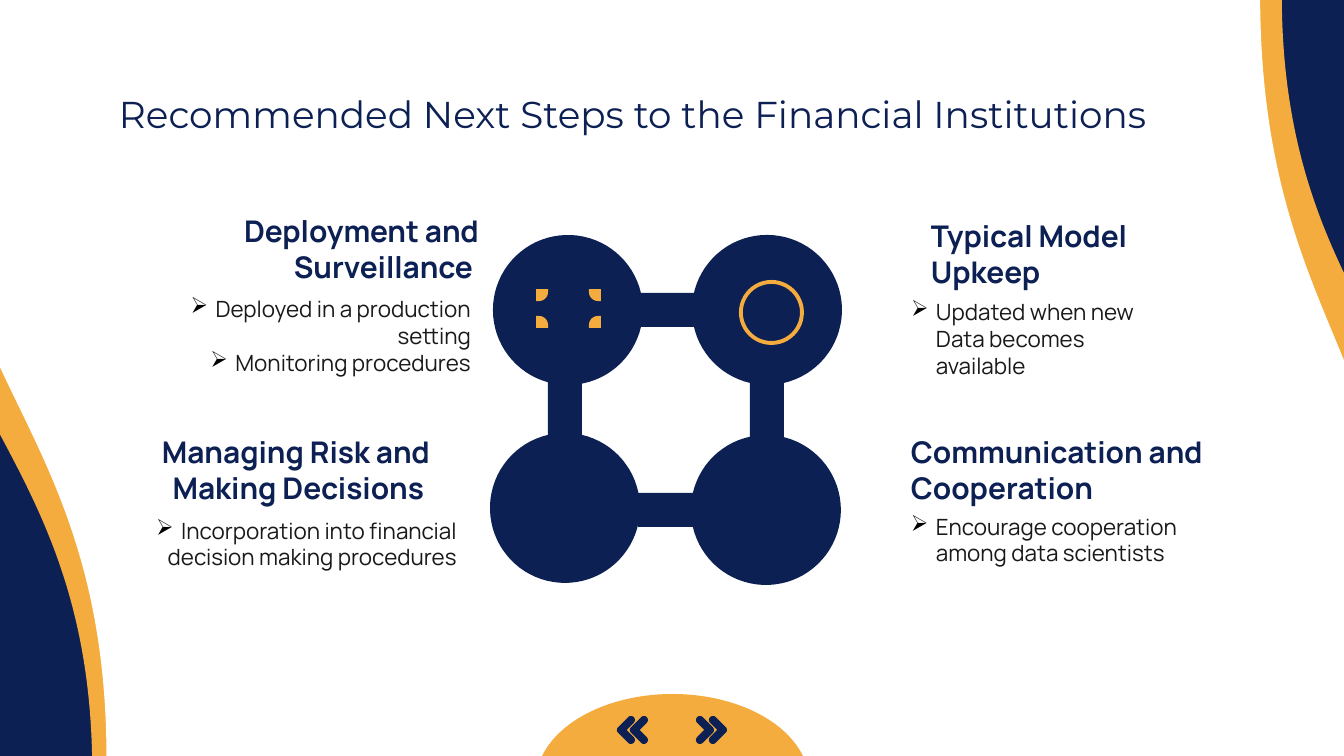
"""Build the slide of recommended next steps for financial institutions."""
from dataclasses import dataclass
from math import asin, cos, degrees, radians, sin, sqrt

from lxml import etree
from pptx import Presentation
from pptx.dml.color import RGBColor
from pptx.enum.shapes import MSO_SHAPE
from pptx.enum.text import MSO_ANCHOR, PP_ALIGN
from pptx.oxml.ns import qn
from pptx.shapes.autoshape import Shape
from pptx.slide import Slide
from pptx.util import Emu, Pt

EMU_PER_PX = 914400 / 134.4
NAVY = RGBColor(0x0C, 0x20, 0x54)
ORANGE = RGBColor(0xF3, 0xAC, 0x3D)
WHITE = RGBColor(0xFF, 0xFF, 0xFF)
INK = RGBColor(0x19, 0x19, 0x19)
BULLET_COLOR = "000000"
WAVE = MSO_SHAPE.FLOWCHART_DOCUMENT
RING = MSO_SHAPE.DONUT
PIE = MSO_SHAPE.PIE
LEFT, RIGHT = PP_ALIGN.LEFT, PP_ALIGN.RIGHT
MIDDLE = MSO_ANCHOR.MIDDLE
INSET = 13
BULLET_INDENT = 25

Point = tuple[float, float]
Box = tuple[int, int, int, int]


@dataclass(frozen=True)
class Preset:
    kind: int
    box: Box
    fill: RGBColor
    rotation: int = 0
    adjustments: tuple[float, ...] = ()


@dataclass(frozen=True)
class TextStyle:
    font: str
    size: int
    color: RGBColor
    bold: bool = False
    bulleted: bool = False


@dataclass(frozen=True)
class Label:
    box: Box
    style: TextStyle
    lines: tuple[str, ...]
    align: int = LEFT


@dataclass(frozen=True)
class Node:
    center: Point
    neck_angle: int


TITLE = TextStyle("Montserrat", 20, NAVY)
HEADING = TextStyle("Manrope", 16, NAVY, bold=True)
DETAIL = TextStyle("Manrope", 12, INK, bulleted=True)

WAVES = (
    Preset(WAVE, (-23, -51, 763, 882), ORANGE, 90),
    Preset(WAVE, (634, -65, 763, 882), ORANGE, 270),
    Preset(WAVE, (671, 32, 763, 688), WHITE, 270),
    Preset(WAVE, (-38, -55, 792, 833), WHITE, 90),
)
ICON_RING = Preset(RING, (739, 280, 65, 65), ORANGE, adjustments=(0.06,))
FOOTER_DOME = Preset(PIE, (536, 694, 273, 176), ORANGE, 180, (0, 108))
NODES = (
    Node((568, 310), 0),
    Node((767, 310), 90),
    Node((766, 510), 180),
    Node((565, 508), 270),
)
LABELS = (
    Label((106, 78, 1133, 71), TITLE, ("Recommended Next Steps to the Financial Institutions",)),
    Label((145, 212, 347, 73), HEADING, ("Deployment and Surveillance ",), RIGHT),
    Label((106, 285, 378, 101), DETAIL,
          ("Deployed in a production setting", "Monitoring procedures"), RIGHT),
    Label((106, 433, 337, 73), HEADING, ("Managing Risk and Making Decisions ",), RIGHT),
    Label((117, 504, 353, 79), DETAIL,
          ("Incorporation into financial decision making procedures",), RIGHT),
    Label((918, 212, 320, 83), HEADING, ("Typical Model Upkeep",)),
    Label((898, 288, 286, 101), DETAIL, ("Updated when new Data becomes available",)),
    Label((898, 433, 340, 73), HEADING, ("Communication and Cooperation",)),
    Label((898, 489, 320, 101), DETAIL, ("Encourage cooperation among data scientists",)),
)


def px(length: float) -> Emu:
    return Emu(round(length * EMU_PER_PX))


def arc(center: Point, radius: float, start: float, end: float, steps: int = 12) -> list[Point]:
    angles = [radians(start + (end - start) * step / steps) for step in range(steps + 1)]
    return [(center[0] + radius * cos(angle), center[1] + radius * sin(angle)) for angle in angles]


def paint(shape: Shape, color: RGBColor) -> None:
    shape.shadow.inherit = False
    shape.fill.solid()
    shape.fill.fore_color.rgb = color
    shape.line.fill.background()


def draw_preset(page: Slide, preset: Preset) -> None:
    shape = page.shapes.add_shape(preset.kind, *map(px, preset.box))
    for index, value in enumerate(preset.adjustments):
        shape.adjustments[index] = value
    shape.rotation = preset.rotation
    paint(shape, preset.fill)


def draw_outline(page: Slide, points: list[Point], color: RGBColor) -> None:
    corners = [(px(x), px(y)) for x, y in points]
    builder = page.shapes.build_freeform(*corners[0], scale=1.0)
    builder.add_line_segments(corners[1:], close=True)
    paint(builder.convert_to_shape(), color)


def draw_node(page: Slide, node: Node, radius: int = 75, half_neck: int = 17, reach: int = 128) -> None:
    gap = degrees(asin(half_neck / radius))
    turn = radians(node.neck_angle)
    neck = [
        (node.center[0] + reach * cos(turn) - side * sin(turn),
         node.center[1] + reach * sin(turn) + side * cos(turn))
        for side in (-half_neck, half_neck)
    ]
    circle = arc(node.center, radius, node.neck_angle + gap, node.neck_angle + 360 - gap, 72)
    draw_outline(page, circle + neck, NAVY)


def draw_leaf(page: Slide, corner: Point, toward: Point, size: int = 12, radius: int = 9) -> None:
    start = size - radius
    local = [(0, size), (0, 0), (size, 0)] + arc((start, start), radius, 0, 90)
    points = [(corner[0] + toward[0] * x, corner[1] + toward[1] * y) for x, y in local]
    draw_outline(page, points, ORANGE)


def draw_chevron(page: Slide, tip: Point, direction: int, arm: int = 10, radius: int = 4) -> None:
    local = (
        arc((-arm, -arm), radius, 135, 315)
        + arc((0, 0), radius, -45, 45)
        + arc((-arm, arm), radius, 45, 225)
        + [(-radius * sqrt(2), 0)]
    )
    draw_outline(page, [(tip[0] + direction * x, tip[1] + y) for x, y in local], NAVY)


def draw_label(page: Slide, label: Label) -> None:
    frame = page.shapes.add_textbox(*map(px, label.box)).text_frame
    frame.word_wrap = True
    frame.vertical_anchor = MIDDLE
    frame.margin_left = frame.margin_right = frame.margin_top = frame.margin_bottom = px(INSET)
    style = label.style
    for index, line in enumerate(label.lines):
        para = frame.add_paragraph() if index else frame.paragraphs[0]
        para.text = line
        para.alignment = label.align
        if style.bulleted:
            properties = para._p.get_or_add_pPr()
            properties.set("marL", str(px(BULLET_INDENT)))
            properties.set("indent", str(-px(BULLET_INDENT)))
            color = etree.SubElement(properties, qn("a:buClr"))
            etree.SubElement(color, qn("a:srgbClr"), val=BULLET_COLOR)
            etree.SubElement(properties, qn("a:buChar"), char="➢")
        para.font.name = style.font
        para.font.size = Pt(style.size)
        para.font.bold = style.bold
        para.font.color.rgb = style.color


def main() -> None:
    deck = Presentation()
    deck.slide_width, deck.slide_height = px(1344), px(756)
    page = deck.slides.add_slide(deck.slide_layouts[6])
    page.background.fill.solid()
    page.background.fill.fore_color.rgb = NAVY
    for wave in WAVES:
        draw_preset(page, wave)
    for node in NODES:
        draw_node(page, node)
    draw_preset(page, ICON_RING)
    for x, across in ((536, 1), (601, -1)):
        for y, down in ((289, 1), (328, -1)):
            draw_leaf(page, (x, y), (across, down))
    draw_preset(page, FOOTER_DOME)
    for first_tip, direction in ((710, 1), (634, -1)):
        for offset in (0, 13):
            draw_chevron(page, (first_tip + direction * offset, 730), direction)
    for label in LABELS:
        draw_label(page, label)
    deck.save("out.pptx")


if __name__ == "__main__":
    main()
